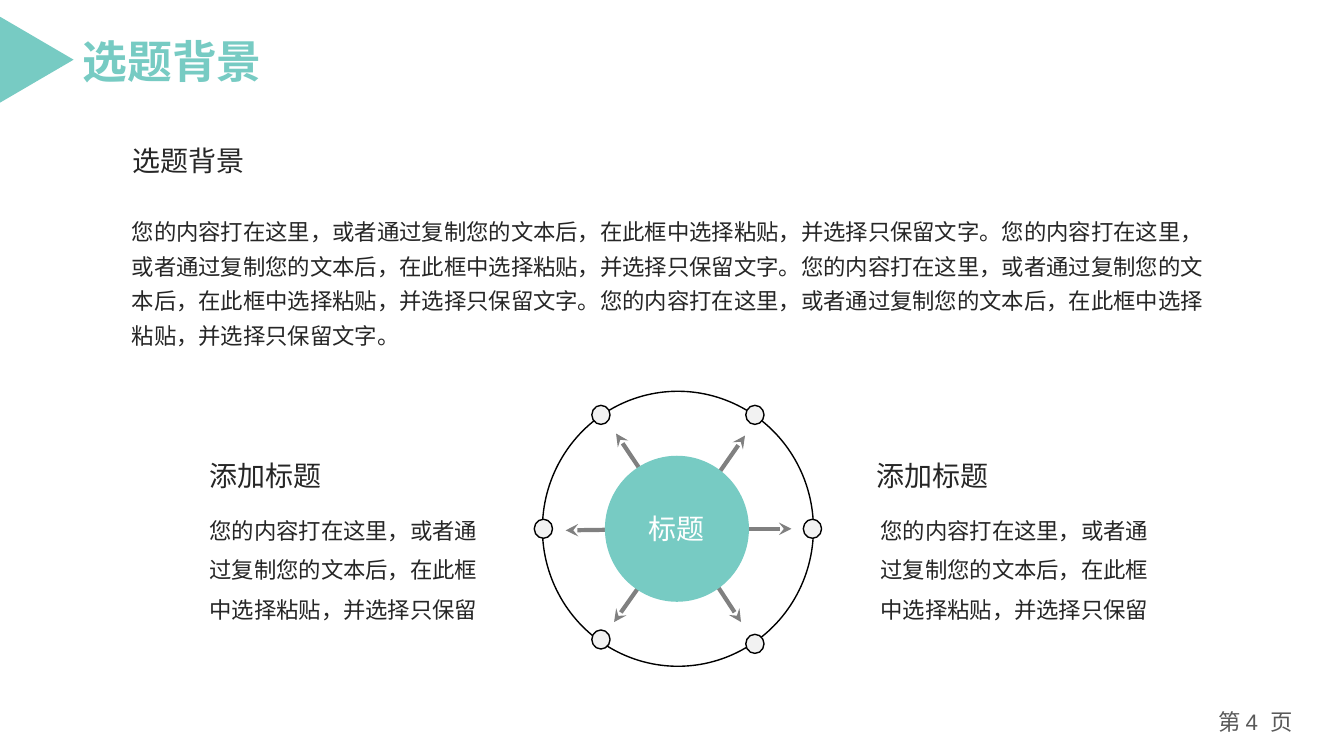
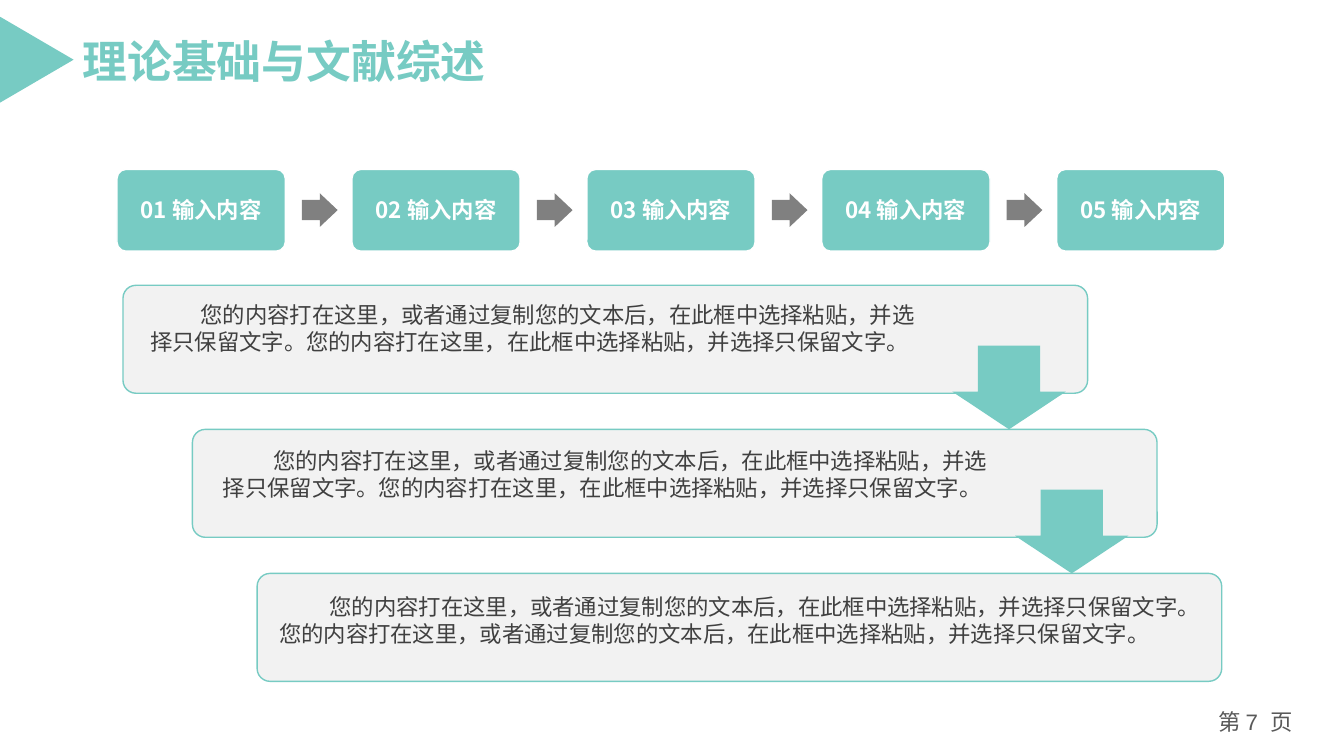
from lxml import etree
from pptx import Presentation
from pptx.dml.color import RGBColor
from pptx.enum.shapes import MSO_CONNECTOR, MSO_SHAPE
from pptx.enum.text import MSO_ANCHOR, PP_ALIGN
from pptx.oxml.ns import qn
from pptx.util import Cm, Pt

OVAL = MSO_SHAPE.OVAL
ROUND = MSO_SHAPE.ROUNDED_RECTANGLE
RIGHT = MSO_SHAPE.RIGHT_ARROW
DOWN = MSO_SHAPE.DOWN_ARROW
WEDGE = MSO_SHAPE.ISOSCELES_TRIANGLE
STRAIGHT = MSO_CONNECTOR.STRAIGHT
TOP, MIDDLE = MSO_ANCHOR.TOP, MSO_ANCHOR.MIDDLE
LEFT, CENTER = PP_ALIGN.LEFT, PP_ALIGN.CENTER

TEAL = RGBColor(0x77, 0xCB, 0xC3)
WHITE = RGBColor(0xFF, 0xFF, 0xFF)
BLACK = RGBColor(0, 0, 0)
PALE = RGBColor(0xF2, 0xF2, 0xF2)
GRAY = RGBColor(0x80, 0x80, 0x80)
INK = RGBColor(0x26, 0x26, 0x26)
SOFT = RGBColor(0x40, 0x40, 0x40)
DIM = RGBColor(0x59, 0x59, 0x59)

SANS = "Noto Sans CJK SC"
LATIN = "Arial"

FULL = "您的内容打在这里，或者通过复制您的文本后，在此框中选择粘贴，并选择只保留文字。"
SHORT = "您的内容打在这里，在此框中选择粘贴，并选择只保留文字。"
PART = "您的内容打在这里，或者通过复制您的文本后，在此框中选择粘贴，并选择只保留"


def style(para, size, color, bold=False, align=LEFT):
    para.alignment = align
    font = para.font
    font.size, font.bold, font.name = Pt(size), bold, SANS
    font.color.rgb = color
    base = para._p.pPr.find(qn("a:defRPr"))
    etree.SubElement(base, qn("a:ea"), typeface=SANS)


def pad(frame, left, top, right, bottom):
    frame.margin_left, frame.margin_top = Cm(left), Cm(top)
    frame.margin_right, frame.margin_bottom = Cm(right), Cm(bottom)


def label(slide, x, y, w, h, text, size, color, bold=False, wrap=True):
    box = slide.shapes.add_textbox(Cm(x), Cm(y), Cm(w), Cm(h))
    frame = box.text_frame
    frame.word_wrap = wrap
    para = frame.paragraphs[0]
    para.text = text
    style(para, size, color, bold)
    return frame


def draw(slide, kind, x, y, w, h, fill=None, line=None, adjust=()):
    shape = slide.shapes.add_shape(kind, Cm(x), Cm(y), Cm(w), Cm(h))
    shape.shadow.inherit = False
    if fill is None:
        shape.fill.background()
    else:
        shape.fill.solid()
        shape.fill.fore_color.rgb = fill
    if line is None:
        shape.line.fill.background()
    else:
        shape.line.color.rgb = line
        shape.line.width = Pt(1)
    for index, value in enumerate(adjust):
        shape.adjustments[index] = value
    return shape


def spoke(slide, x1, y1, x2, y2):
    line = slide.shapes.add_connector(STRAIGHT, Cm(x1), Cm(y1), Cm(x2), Cm(y2))
    line.line.color.rgb = GRAY
    line.line.width = Pt(3)
    props = line._element.spPr
    etree.SubElement(props.find(qn("a:ln")), qn("a:tailEnd"), type="stealth")
    etree.SubElement(props, qn("a:effectLst"))


def footer(slide, number):
    box = slide.shapes.add_textbox(Cm(30.12), Cm(17.73), Cm(3.05), Cm(1.02))
    box.text_frame.word_wrap = True
    para = box.text_frame.paragraphs[0]
    style(para, 16, DIM, align=CENTER)
    for text in ("第 ", f"{number} ", "页"):
        run = para.add_run()
        run.text = text
        if text[0].isdigit():
            run.font.name = LATIN
            run._r.get_or_add_rPr().set("spc", "220")


def base(deck, title, number):
    slide = deck.slides.add_slide(deck.slide_layouts[6])
    footer(slide, number)
    frame = label(slide, 1.75, 0.66, 1.13 * len(title) + 0.7, 1.7,
                  title, 32, TEAL, True, False)
    pad(frame, 0.33, 0.18, 0.33, 0.18)
    draw(slide, WEDGE, -0.15, 0.58, 2.16, 1.85, TEAL).rotation = 90
    return slide


def block(slide, x, y, w, h, head, body, gap, shift, lead):
    label(slide, x, y, 3.35, 1.12, head, 20, INK, wrap=False)
    frame = label(slide, x + shift, y + gap, w, h, body, 16, INK)
    frame.paragraphs[0].line_spacing = lead


def wheel(slide, x, y, w, h):
    draw(slide, OVAL, x, y, w, h, line=BLACK)
    mx, my = x + w / 2, y + h / 2
    dots = [(1.94, -2.87), (-1.94, -2.87), (-3.39, 0),
            (3.39, 0), (1.94, 2.9), (-1.94, 2.79)]
    for dx, dy in dots:
        draw(slide, OVAL, mx + dx - 0.23, my + dy - 0.24, 0.46, 0.48,
             PALE, BLACK)
    tips = [(1.69, -2.35), (2.86, 0), (-1.56, -2.4),
            (-2.83, 0.04), (-1.61, 2.35), (1.59, 2.35)]
    for dx, dy in tips:
        spoke(slide, mx + 0.05, my, mx + dx, my + dy)
    hub = draw(slide, OVAL, mx - 1.84, my - 1.84, 3.63, 3.68, TEAL)
    frame = hub.text_frame
    frame.vertical_anchor = MIDDLE
    pad(frame, 0, 0, 0, 0)
    frame.text = "标题"
    style(frame.paragraphs[0], 20, WHITE, align=CENTER)


def steps(slide, x, y, w, h, pitch, count):
    for index in range(count):
        left = x + index * pitch
        step = draw(slide, ROUND, left, y, w, h, TEAL, WHITE, [0.11])
        frame = step.text_frame
        frame.vertical_anchor = MIDDLE
        pad(frame, 0.1, 0, 0.1, 0.05)
        frame.text = f"{index + 1:02d} 输入内容"
        style(frame.paragraphs[0], 16, WHITE, True, CENTER)
        if index < count - 1:
            draw(slide, RIGHT, left + w + 0.42, y + 0.6, 0.9, 0.85,
                 GRAY, adjust=[0.6, 0.53])


def card(slide, x, y, w, h, text, left, top, right):
    shape = draw(slide, ROUND, x, y, w, h, PALE, TEAL, [0.12])
    frame = shape.text_frame
    frame.word_wrap = True
    frame.vertical_anchor = TOP
    pad(frame, left, top, right, 0)
    frame.text = text
    para = frame.paragraphs[0]
    style(para, 16, SOFT)
    para._p.pPr.set("indent", str(Cm(1.27)))


def stairs(slide, y, w, h, pitch):
    cards = [(3.1, FULL + SHORT, 0.59, 3.92),
             (4.85, FULL + SHORT, 0.67, 3.92),
             (6.48, FULL * 2, 0.46, 0.57)]
    for index, (x, text, left, right) in enumerate(cards):
        card(slide, x, y + index * pitch, w, h, text,
             left, 0.31 + 0.05 * index, right)
    for index, x in enumerate((24, 25.58)):
        draw(slide, DOWN, x, y + index * pitch + 1.52, 2.86, 2.11,
             TEAL, adjust=[0.55, 0.45])


def topic(deck):
    slide = base(deck, "选题背景", 4)
    block(slide, 3.1, 3.5, 27.76, 4.7, "选题背景", FULL * 4, 1.66, -0.03, 1.3)
    wheel(slide, 13.67, 9.86, 6.83, 6.93)
    for x, shift in ((21.84, 0.1), (5.03, 0)):
        block(slide, x, 11.44, 7.59, 3.25, "添加标题", PART, 1.16, shift, Pt(28))


def theory(deck):
    slide = base(deck, "理论基础与文献综述", 7)
    steps(slide, 2.95, 4.27, 4.24, 2.06, 5.92, 5)
    stairs(slide, 7.19, 24.31, 2.72, 3.63)


def main():
    deck = Presentation()
    deck.slide_width, deck.slide_height = Cm(33.87), Cm(19.05)
    topic(deck)
    theory(deck)
    deck.save("out.pptx")


if __name__ == "__main__":
    main()
